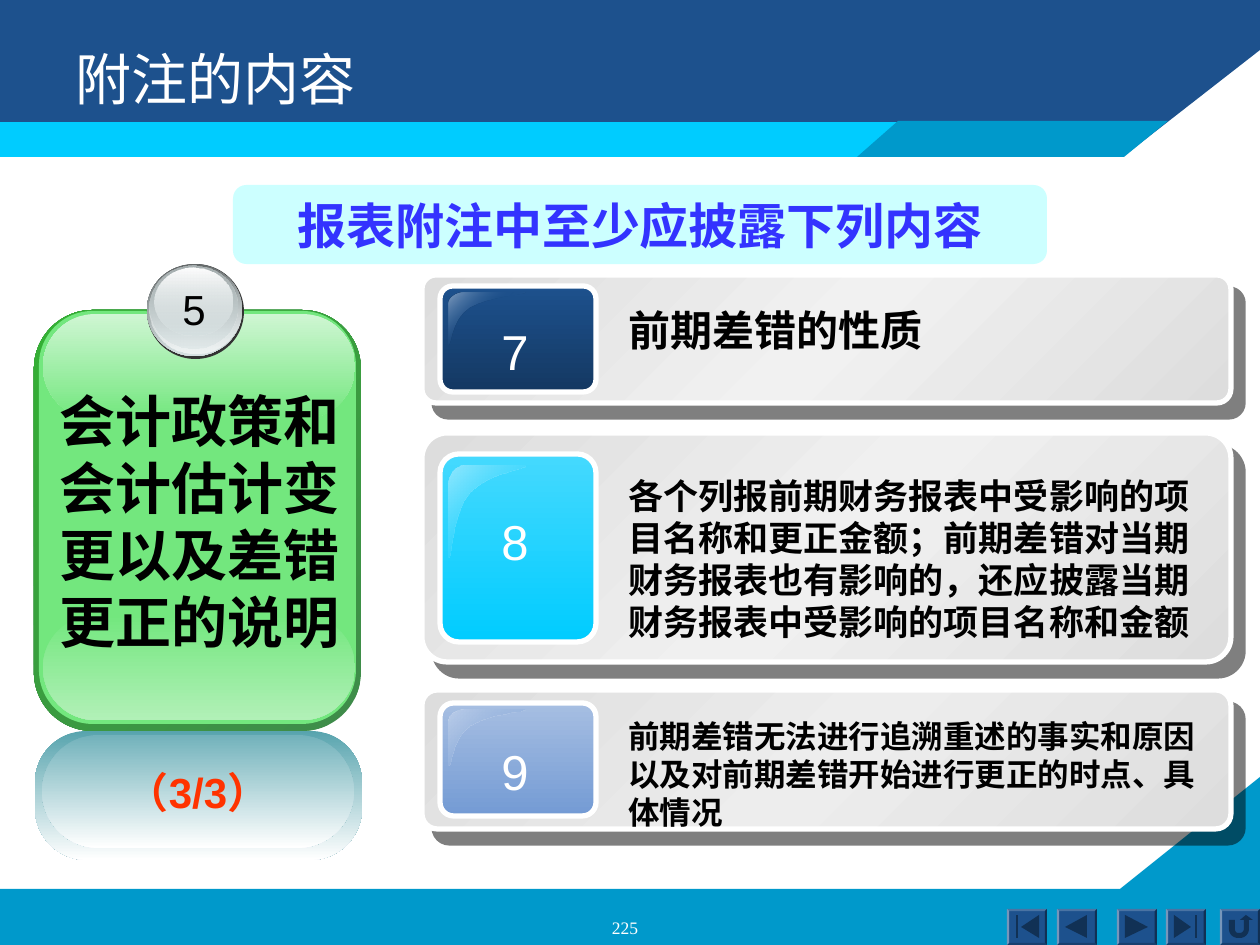
from lxml.etree import SubElement
from pptx import Presentation
from pptx.dml.color import RGBColor
from pptx.enum.shapes import MSO_SHAPE as Kind
from pptx.enum.text import MSO_ANCHOR as Anchor, MSO_AUTO_SIZE as AutoSize, PP_ALIGN as Align
from pptx.oxml.ns import qn
from pptx.util import Pt

PX = 914400 / 126  # EMU per px
CJK = "Noto Sans CJK SC"
COLORS = {
    "navy": "1D518D", "navy_dark": "143862", "navy_pale": "839FC0", "icon": "113155",
    "cyan": "00CCFF", "cyan_light": "45D9FE", "cyan_pale": "92E8FE", "blue": "0099CB",
    "steel": "749BD4", "steel_light": "A6BEE2", "steel_pale": "BACDE9",
    "gray": "DDDDDD", "shine_1": "F1F1F1", "shine_2": "F0F0F0", "shine_3": "EDEDED",
    "white": "FFFFFF", "black": "000000", "red": "FF3300", "violet": "3333FF", "aqua": "CCFFFF",
    "green_edge": "3F8B4A", "green_rim": "34B034", "green": "73E77E",
    "green_low": "B1F0B7", "green_high": "CFF6D3", "teal": "58A4AE", "teal_light": "72B2BB",
    "ball_edge": "333333", "ball_dark": "626768", "ball": "D6E1E2", "ball_pale": "EFF3F3",
    "ball_mid": "A8B1B2", "ball_shine": "FEFEFE",
}

# Content; a gradient is (angle, stop, stop...), a stop is (position, color[, opacity])
TITLE = "附注的内容"
BANNER = "报表附注中至少应披露下列内容"
TOPIC_NUMBER, TOPIC, TOPIC_PART = "5", "会计政策和会计估计变更以及差错更正的说明", "（3/3）"
PAGE_NUMBER = "225"
CARDS = [
    dict(number="7", text="前期差错的性质", size=24, card=(275, 128), badge=(286, 106),
         number_top=315, text_top=298, shine="shine_1", fill=("navy", "navy_dark"),
         gloss=(225, (0, "navy_pale"), (50, "navy", 0), (100, "navy_pale"))),
    dict(number="8", text="各个列报前期财务报表中受影响的项目名称和更正金额；前期差错对当期财务报表也有影响的，"
         "还应披露当期财务报表中受影响的项目名称和金额", size=20, card=(433, 229), badge=(454, 188),
         number_top=505, text_top=468, shine="shine_2", fill=("cyan_light", "cyan"),
         gloss=(225, (0, "cyan", 0), (100, "cyan_pale"))),
    dict(number="9", text="前期差错无法进行追溯重述的事实和原因以及对前期差错开始进行更正的时点、具体情况",
         size=18, card=(690, 139), badge=(703, 113),
         number_top=735, text_top=711, shine="shine_3", fill=("steel_light", "steel"),
         gloss=(225, (0, "steel", 0), (100, "steel_pale"))),
]

# Outlines: a pair is a corner, six numbers are a Bezier curve
BANDS = [
    ("blue", [(0, 889), (1120, 889), (1260, 777), (1260, 945), (0, 945)]),
    ("navy", [(0, 0), (1260, 0), (1260, 50), (1124, 156), (0, 156)]),
    ("cyan", [(0, 122), (1063, 122), (1063, 157), (0, 157)]),
    ("blue", [(857, 157), (1124, 157), (1168, 121), (898, 121)]),
]
GLOSS = [(0.19, 0), (0.1, 0, 0, 0.1, 0, 0.21), (0, 0.98),
         (0.05, 1, 0.03, 0.52, 0.27, 0.29), (0.52, 0.07, 1, 0.05, 0.98, 0)]
TO_LEFT = [(8, 18), (30, 6), (30, 29)]
TO_RIGHT = [(8, 6), (31, 18), (8, 29)]
U_TURN = [(9, 11), (15, 11), (15, 20), (15, 22, 16, 24, 18, 24), (20, 24),
          (22, 24, 24, 22, 24, 20), (24, 11), (20, 11), (26, 6), (33, 11), (29, 11),
          (29, 20), (29, 25, 25, 29, 20, 29), (18, 29), (13, 29, 9, 25, 9, 20)]
BUTTONS = [
    (1007, [[(14, 18), (32, 6), (32, 29)], [(9, 6), (11, 6), (11, 29), (9, 29)]]),
    (1057, [TO_LEFT]),
    (1117, [TO_RIGHT]),
    (1166, [[(8, 6), (25, 18), (8, 29)], [(29, 6), (31, 6), (31, 29), (29, 29)]]),
    (1220, [U_TURN]),
]

# Topic panel layers: kind, box, corner, fill
ROUND, OVAL = Kind.ROUNDED_RECTANGLE, Kind.OVAL
PANEL = [
    (ROUND, (34, 310, 327, 421), 0.18, (225, (0, "green_edge"), (100, "green_rim"))),
    (ROUND, (39, 311, 317, 413), 0.17, "green"),
    (ROUND, (43, 615, 312, 105), 0.5, (90, (0, "green"), (100, "green_low"))),
    (ROUND, (43, 314, 312, 105), 0.5, (90, (0, "green_high"), (100, "green"))),
    (OVAL, (147, 264, 97, 95), None, "ball_edge"),
    (OVAL, (147, 264, 95, 92), None, (90, (0, "ball_dark"), (100, "ball"))),
    (OVAL, (149, 265, 92, 89), None, (90, (0, "ball", 0), (100, "ball_pale"))),
    (OVAL, (150, 266, 87, 83), None, (90, (0, "ball_mid"), (100, "ball", 48))),
    (OVAL, (155, 268, 77, 68), None, (90, (0, "ball_shine"), (100, "ball", 38))),
    (ROUND, (35, 731, 327, 129), 0.4, (90, (0, "teal"), (100, "white"))),
]


def emu(*lengths):
    return [round(length * PX) for length in lengths]


def rgb(name):
    return RGBColor.from_string(COLORS[name])


def add_color(parent, name, opacity=100):
    color = SubElement(parent, qn("a:srgbClr"), val=COLORS[name])
    if opacity < 100:
        SubElement(color, qn("a:alpha"), val=str(opacity * 1000))


def paint(shape, fill, line=None):
    shape.shadow.inherit = False
    if isinstance(fill, str):
        shape.fill.solid()
        shape.fill.fore_color.rgb = rgb(fill)
    else:
        angle, *stops = fill
        shape.fill.gradient()
        shape.fill.gradient_angle = 360 - angle
        stop_list = next(shape.element.iter(qn("a:gsLst")))
        stop_list.clear()
        for position, *color in stops:
            add_color(SubElement(stop_list, qn("a:gs"), pos=str(position * 1000)), *color)
    if line:
        shape.line.color.rgb = rgb(line)
        shape.line.width = Pt(3)
    else:
        shape.line.fill.background()
    return shape


def add_block(kind, box, corner, fill, line=None):
    shape = page.shapes.add_shape(kind, *emu(*box))
    if corner is not None:
        shape.adjustments[0] = corner
    return paint(shape, fill, line)


def add_outline(steps, fill, left=0, top=0, width=1, height=1):
    points = []
    for step in steps:
        if len(step) == 2:
            points.append(step)
            continue
        (x0, y0), (x1, y1, x2, y2, x3, y3) = points[-1], step
        for t in (i / 8 for i in range(1, 9)):
            a, b, c, d = (1 - t) ** 3, 3 * t * (1 - t) ** 2, 3 * t * t * (1 - t), t ** 3
            points.append((a * x0 + b * x1 + c * x2 + d * x3, a * y0 + b * y1 + c * y2 + d * y3))
    points = [emu(left + x * width, top + y * height) for x, y in points]
    builder = page.shapes.build_freeform(*points[0], scale=1.0)
    builder.add_line_segments(points[1:], close=True)
    return paint(builder.convert_to_shape(), fill)


def write(shape, text, size, color, font="Arial", bold=False, align=Align.LEFT,
          anchor=Anchor.TOP, wrap=True, spacing=None):
    frame = shape.text_frame
    frame.auto_size = AutoSize.NONE
    frame.word_wrap, frame.vertical_anchor = wrap, anchor
    para = frame.paragraphs[0]
    para.alignment = align
    if spacing:
        para.line_spacing = Pt(spacing)
    span = para.add_run()
    span.text = text
    span.font.size, span.font.bold, span.font.name = Pt(size), bold, font
    span.font.color.rgb = rgb(color)
    SubElement(span.font._element, qn("a:ea"), typeface=CJK)


def add_text(box, *args, **options):
    write(page.shapes.add_textbox(*emu(*box)), *args, **options)


deck = Presentation()
deck.slide_width, deck.slide_height = emu(1260, 945)
page = deck.slides.add_slide(deck.slide_layouts[5])

# Background bands and navigation buttons
for color, outline in BANDS:
    add_outline(outline, color)
for left, icons in BUTTONS:
    add_block(Kind.BEVEL, (left, 909, 40, 36), 0.06, "navy")
    for icon in icons:
        add_outline(icon, "icon", left, 909)

# Numbered cards
for card in CARDS:
    top, height = card["card"]
    back = add_block(ROUND, (422, top, 809, height), 0.11,
                     (225, (0, "gray"), (50, card["shine"]), (100, "gray")), "white")
    shadow = SubElement(back.element.spPr.find(qn("a:effectLst")), qn("a:outerShdw"),
                        dist=str(Pt(10.6)), dir=str(49 * 60000), algn="ctr", rotWithShape="0")
    add_color(shadow, "black", 50)
    top, height = card["badge"]
    start, end = card["fill"]
    add_block(ROUND, (440, top, 156, height), 0.12, (90, (0, start), (100, end)), "white")
    add_outline(GLOSS, card["gloss"], 449, top + height / 16, 78, height / 2)
    add_text((489, card["number_top"], 52, 72), card["number"], 28, "white",
             align=Align.CENTER, wrap=False)
    add_text((616, card["text_top"], 595, card["card"][1] - 20), card["text"], card["size"],
             "black", bold=True, spacing=card["size"] * 1.2)

# Title, moved in front of the bands
title = page.shapes.title
title.left, title.top, title.width, title.height = emu(63, 38, 1134, 157)
write(title, TITLE, 32, "white", font=CJK)
title.element.getparent().append(title.element)

# Banner
banner = add_block(ROUND, (233, 185, 814, 79), 0.17, "aqua")
write(banner, BANNER, 28, "violet", bold=True, align=Align.CENTER, anchor=Anchor.MIDDLE, wrap=False)

# Topic panel with its number ball and reflection
for layer in PANEL:
    add_block(*layer)
add_text((170, 277, 48, 63), TOPIC_NUMBER, 24, "black", align=Align.CENTER, wrap=False)
add_text((47, 380, 311, 282), TOPIC, 32, "black", font="DejaVu Sans", bold=True, spacing=38.4)
part = add_block(ROUND, (42, 735, 312, 113), 0.5, (90, (0, "teal_light"), (100, "white")))
write(part, TOPIC_PART, 24, "red", bold=True, align=Align.CENTER, anchor=Anchor.MIDDLE, wrap=False)

# Page number
add_text((478, 911, 294, 23), PAGE_NUMBER, 10, "white", font="Times New Roman", align=Align.CENTER)

deck.save("out.pptx")
